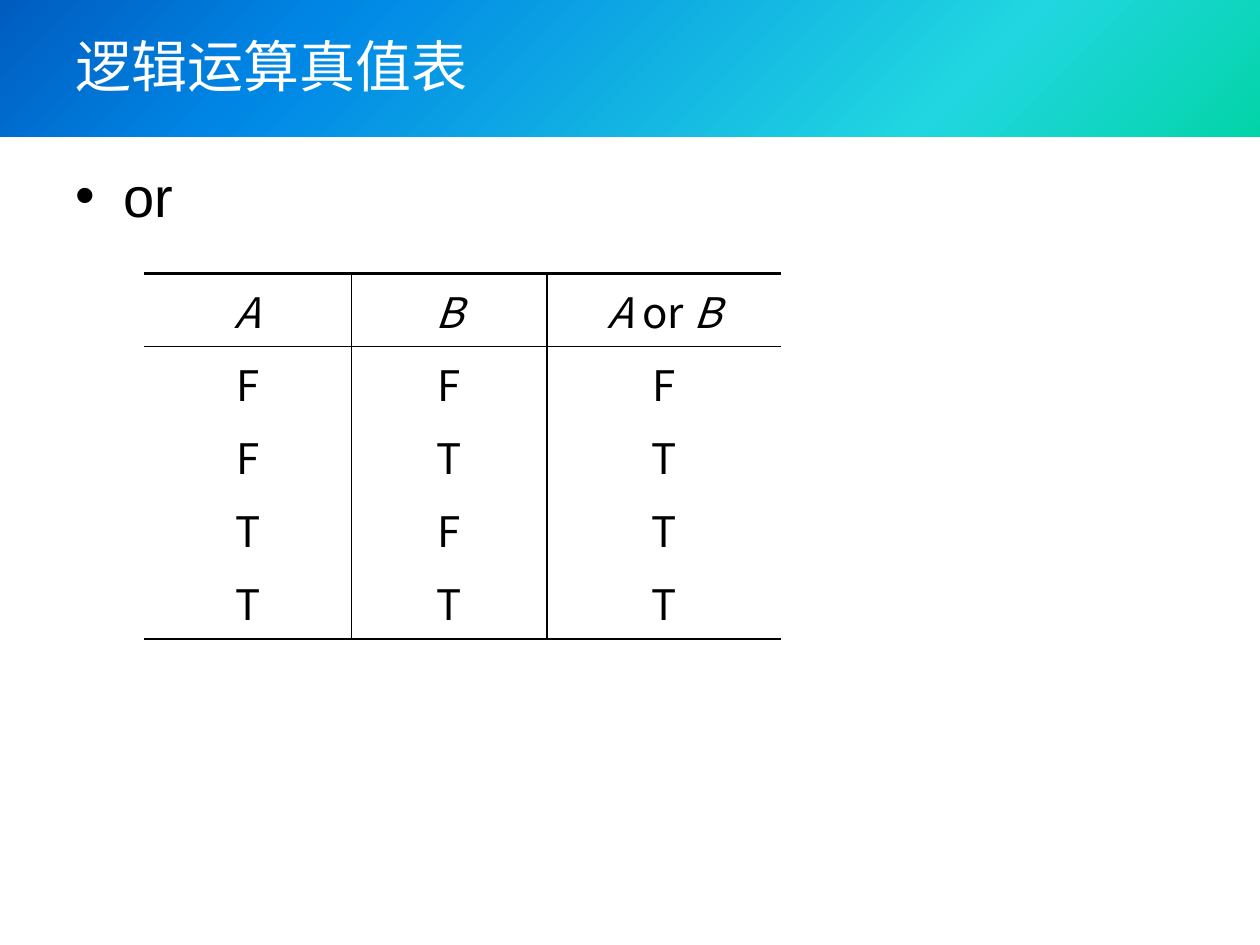
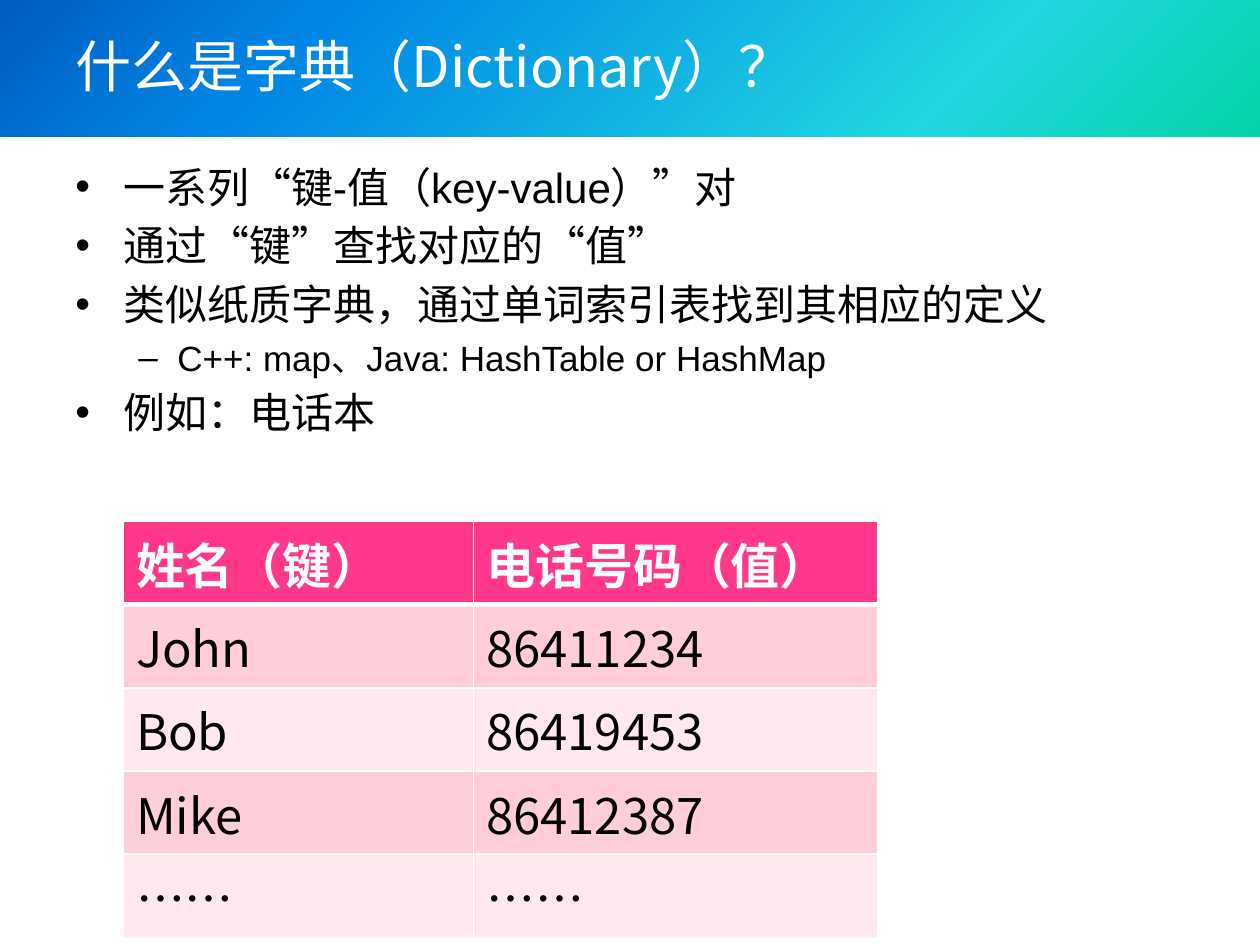
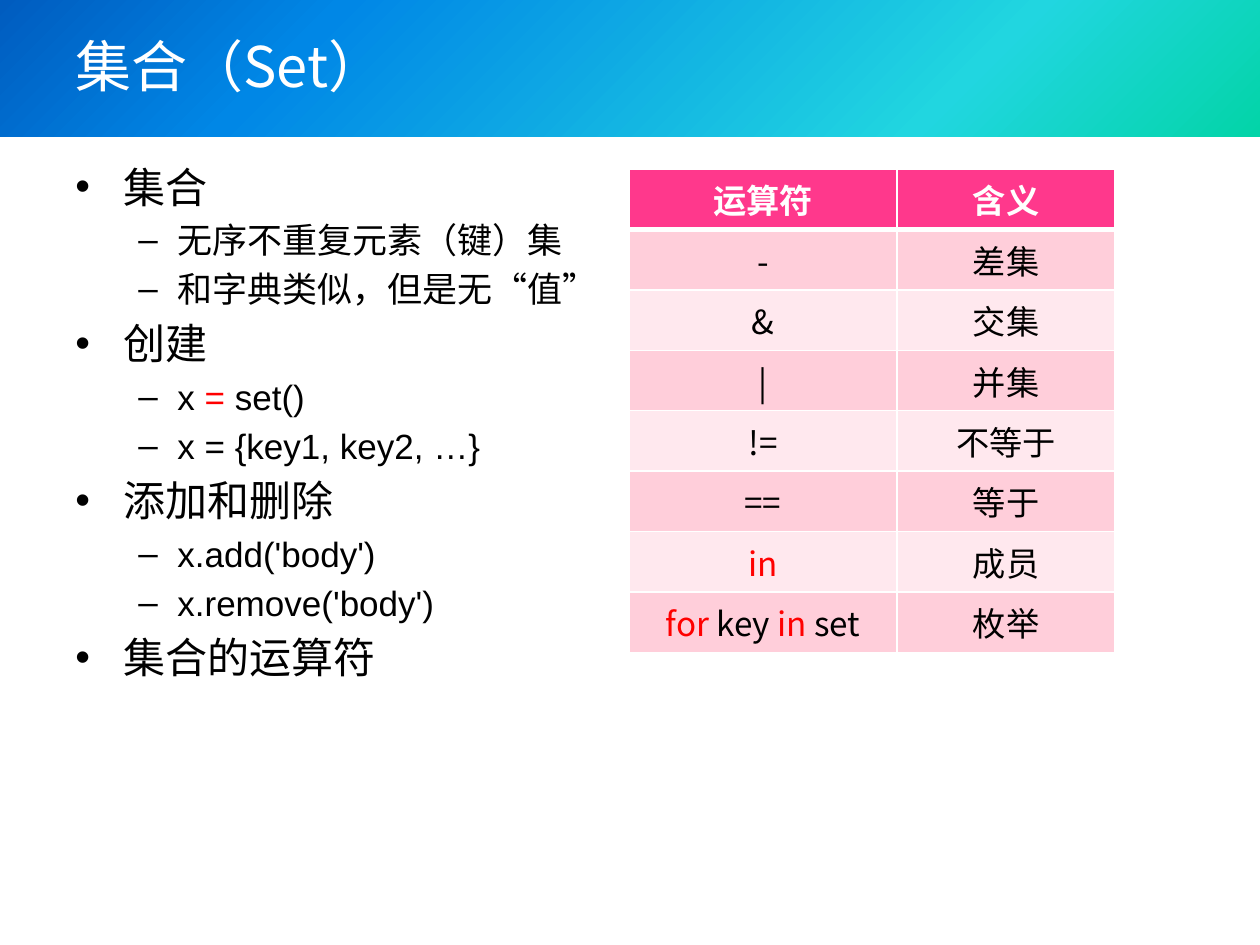
from lxml import etree
from pptx import Presentation
from pptx.dml.color import RGBColor
from pptx.enum.lang import MSO_LANGUAGE_ID as Language
from pptx.enum.shapes import MSO_SHAPE as Shape
from pptx.enum.text import MSO_ANCHOR as Anchor, PP_ALIGN as Align
from pptx.oxml import parse_xml
from pptx.oxml.ns import nsdecls, qn
from pptx.util import Inches, Pt

BLACK = RGBColor(0x00, 0x00, 0x00)
WHITE = RGBColor(0xFF, 0xFF, 0xFF)
RED = RGBColor(0xFF, 0x00, 0x00)
PINK = RGBColor(0xFF, 0x38, 0x8C)
ROSE = RGBColor(0xFF, 0xCE, 0xDA)
BLUSH = RGBColor(0xFF, 0xE8, 0xEE)
BAND_STOPS = [
    (0, RGBColor(0x03, 0xD4, 0xA8)),
    (25, RGBColor(0x21, 0xD6, 0xE0)),
    (75, RGBColor(0x00, 0x87, 0xE6)),
    (100, RGBColor(0x00, 0x5C, 0xBF)),
]
HEAD_FONT = "Noto Sans CJK SC"
BODY_FONT = "Arial"
BULLETS = [("•", 0.38, -0.38), ("–", 0.81, -0.31)]

ITALIC = {"italic": True}
KEYWORD = {"color": RED}

SLIDES = [
    {
        "title": "逻辑运算真值表",
        "sizes": (32, 28),
        "body": [(0, "or")],
        "table": {
            "style": "ruled", "at": (1.14, 2.17), "size": 24, "align": Align.CENTER,
            "columns": (1.65, 1.55, 1.86), "row_height": 0.58,
            "rows": [
                ([("A", ITALIC)], [("B", ITALIC)],
                 [("A ", ITALIC), ("or ", {}), ("B", ITALIC)]),
                ("F", "F", "F"),
                ("F", "T", "T"),
                ("T", "F", "T"),
                ("T", "T", "T"),
            ],
        },
    },
    {
        "title": "什么是字典（Dictionary）？",
        "sizes": (24, 20),
        "body": [
            (0, "一系列“键-值（key-value）”对"),
            (0, "通过“键”查找对应的“值”"),
            (0, "类似纸质字典，通过单词索引表找到其相应的定义"),
            (1, "C++: map、Java: HashTable or HashMap"),
            (0, "例如：电话本"),
        ],
        "table": {
            "style": "banded", "at": (0.98, 4.14), "size": 28, "align": Align.LEFT,
            "columns": (2.78, 3.21), "row_height": 0.66,
            "rows": [
                ("姓名（键）", "电话号码（值）"),
                ("John", "86411234"),
                ("Bob", "86419453"),
                ("Mike", "86412387"),
                ("……", "……"),
            ],
        },
    },
    {
        "title": "集合（Set）",
        "sizes": (24, 20),
        "body": [
            (0, "集合"),
            (1, "无序不重复元素（键）集"),
            (1, "和字典类似，但是无“值”"),
            (0, "创建"),
            (1, [("x ", {}), ("=", KEYWORD), (" set()", {})]),
            (1, "x = {key1, key2, …}"),
            (0, "添加和删除"),
            (1, "x.add('body')"),
            (1, "x.remove('body')"),
            (0, "集合的运算符"),
        ],
        "table": {
            "style": "banded", "at": (4.99, 1.34), "size": 19, "align": Align.CENTER,
            "columns": (2.13, 1.73), "row_height": 0.48,
            "rows": [
                ("运算符", "含义"),
                ("-", "差集"),
                ("&", "交集"),
                ("|", "并集"),
                ("!=", "不等于"),
                ("==", "等于"),
                ([("in", KEYWORD)], "成员"),
                ([("for", KEYWORD), (" key ", {}), ("in", KEYWORD), (" set", {})], "枚举"),
            ],
        },
    },
]


def add_spans(para, content, size, font_name, color=BLACK, bold=False):
    spans = [(content, {})] if isinstance(content, str) else content
    for text, look in spans:
        span = para.add_run()
        span.text = text
        font = span.font
        font.size = Pt(size)
        font.name = font_name
        font.bold = bold
        font.italic = look.get("italic", False)
        font.color.rgb = look.get("color", color)
        font.language_id = Language.SIMPLIFIED_CHINESE
        latin = span._r.rPr.find(qn("a:latin"))
        wide_quotes = "“" in text
        east_asian = etree.Element(qn("a:ea"), typeface=HEAD_FONT if wide_quotes else font_name)
        latin.addnext(east_asian)


def add_band(page):
    band = page.shapes.add_shape(Shape.RECTANGLE, 0, 0, Inches(10), Inches(1.08))
    band.shadow.inherit = False
    band.line.fill.background()
    band.fill.background()
    stops = "".join(
        f'<a:gs pos="{position * 1000}"><a:srgbClr val="{color}"/></a:gs>'
        for position, color in BAND_STOPS
    )
    gradient = parse_xml(
        f'<a:gradFill {nsdecls("a")} rotWithShape="1"><a:gsLst>{stops}</a:gsLst>'
        '<a:path path="circle"><a:fillToRect l="100000" t="100000"/></a:path></a:gradFill>'
    )
    properties = band._element.spPr
    properties.replace(properties.find(qn("a:noFill")), gradient)


def add_text_frame(page, top, height):
    box = page.shapes.add_textbox(Inches(0.5), Inches(top), Inches(9), Inches(height))
    box.text_frame.word_wrap = True
    return box.text_frame


def add_title(page, title):
    frame = add_text_frame(page, 0.13, 0.77)
    frame.vertical_anchor = Anchor.MIDDLE
    add_spans(frame.paragraphs[0], title, 32, HEAD_FONT, WHITE)


def add_body(page, items, sizes):
    frame = add_text_frame(page, 1.23, 5.47)
    for index, (level, content) in enumerate(items):
        para = frame.add_paragraph() if index else frame.paragraphs[0]
        para.level = level
        para.line_spacing = Pt(sizes[level] * 1.2)
        if index:
            para.space_before = Pt(sizes[level] / 5)
        symbol, margin, indent = BULLETS[level]
        properties = para._p.get_or_add_pPr()
        properties.set("marL", str(Inches(margin)))
        properties.set("indent", str(Inches(indent)))
        etree.SubElement(properties, qn("a:buFont"), typeface=BODY_FONT)
        etree.SubElement(properties, qn("a:buChar"), char=symbol)
        add_spans(para, content, sizes[level], BODY_FONT)


def ruled_borders(row, column, last_row, last_column):
    return {
        "L": 1 if column else 0,
        "R": 1 if column < last_column else 0,
        "T": {0: 2.25, 1: 1}.get(row, 0),
        "B": 1 if row in (0, last_row) else 0,
    }


def banded_borders(row):
    return {"L": 1, "R": 1, "T": 3 if row == 1 else 1, "B": 3 if row == 0 else 1}


def set_borders(cell, widths, color):
    properties = cell._tc.get_or_add_tcPr()
    for side, width in widths.items():
        line = etree.SubElement(properties, qn(f"a:ln{side}"), w=str(Pt(width)))
        if width:
            fill = etree.SubElement(line, qn("a:solidFill"))
            etree.SubElement(fill, qn("a:srgbClr"), val=str(color))
        else:
            etree.SubElement(line, qn("a:noFill"))


def add_grid(page, grid):
    rows, columns, row_height = grid["rows"], grid["columns"], grid["row_height"]
    left, top = grid["at"]
    table = page.shapes.add_table(
        len(rows), len(columns), Inches(left), Inches(top),
        Inches(sum(columns)), Inches(row_height * len(rows)),
    ).table
    table.first_row = False
    table.horz_banding = False
    for column, width in zip(table.columns, columns):
        column.width = Inches(width)
    banded = grid["style"] == "banded"
    for r, contents in enumerate(rows):
        table.rows[r].height = Inches(row_height)
        header = banded and r == 0
        for c, content in enumerate(contents):
            cell = table.cell(r, c)
            if banded:
                set_borders(cell, banded_borders(r), WHITE)
                cell.fill.solid()
                cell.fill.fore_color.rgb = PINK if header else (BLUSH, ROSE)[r % 2]
            else:
                set_borders(cell, ruled_borders(r, c, len(rows) - 1, len(columns) - 1), BLACK)
                cell.fill.background()
                cell.vertical_anchor = Anchor.MIDDLE
            para = cell.text_frame.paragraphs[0]
            para.alignment = grid["align"]
            add_spans(para, content, grid["size"], HEAD_FONT, WHITE if header else BLACK, header)


def main():
    deck = Presentation()
    deck.slide_width, deck.slide_height = Inches(10), Inches(7.5)
    for content in SLIDES:
        page = deck.slides.add_slide(deck.slide_layouts[6])
        add_band(page)
        add_title(page, content["title"])
        add_body(page, content["body"], content["sizes"])
        add_grid(page, content["table"])
    deck.save("out.pptx")


if __name__ == "__main__":
    main()
